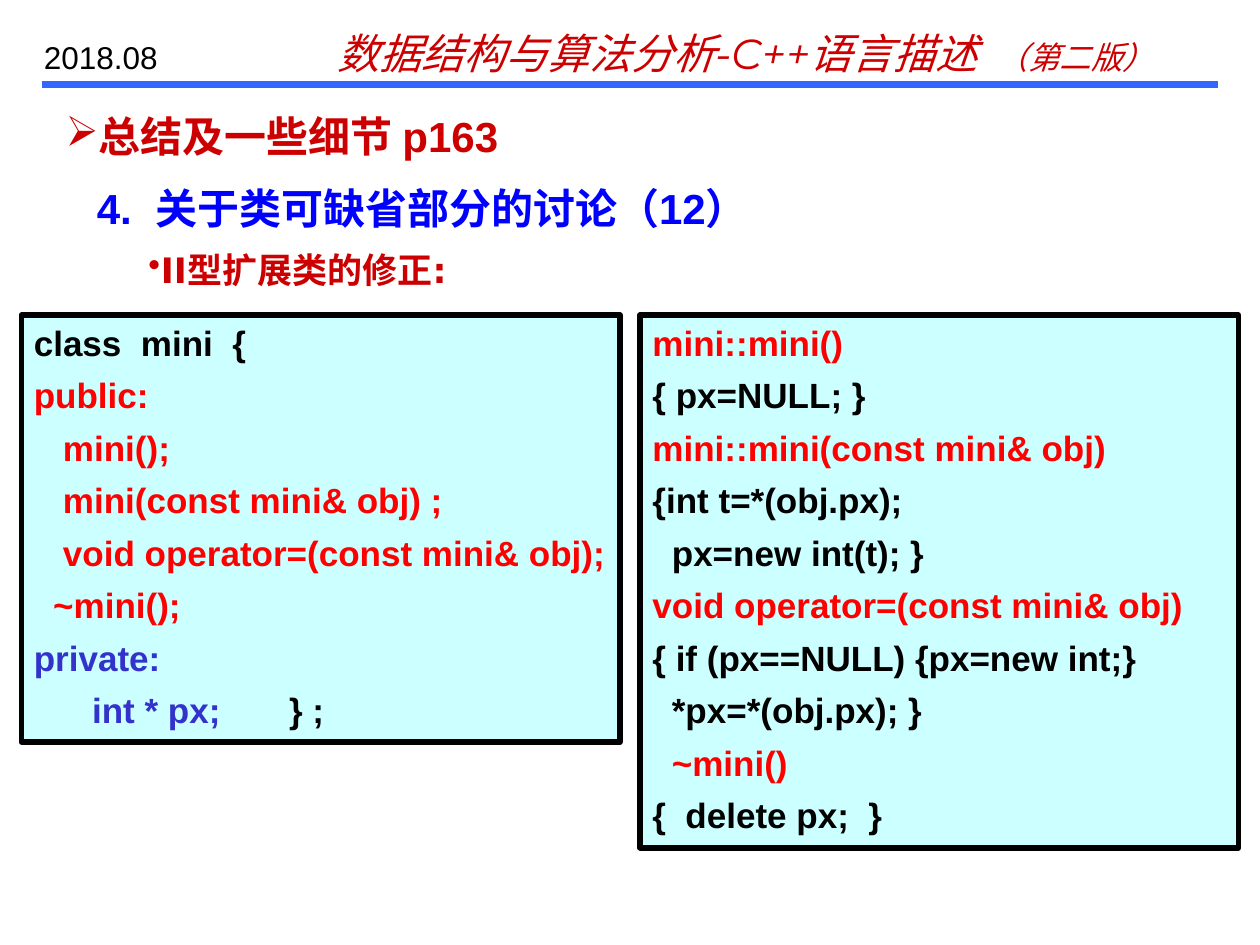
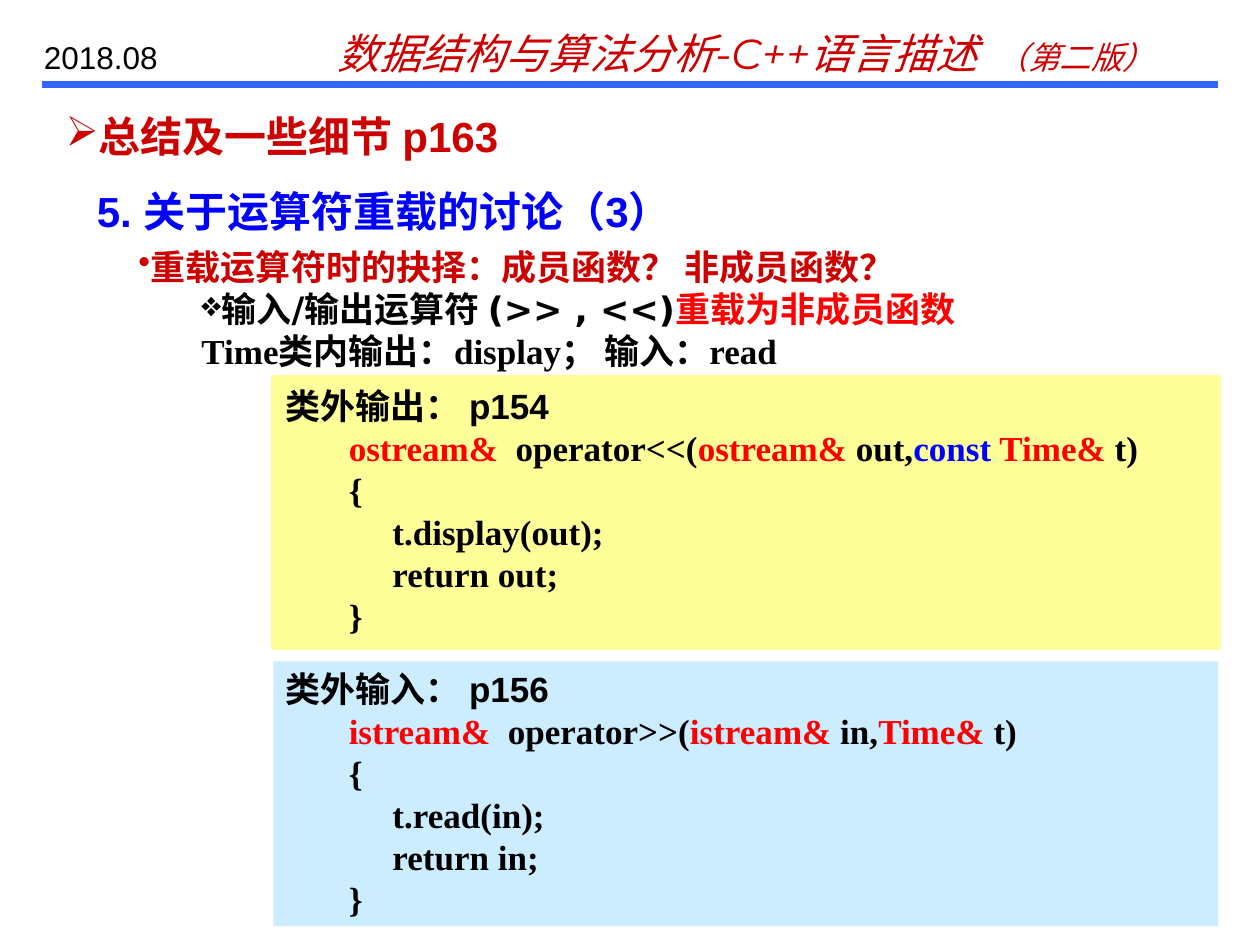
"""Build two lecture slides on class defaults and operator overloading in C++."""
from dataclasses import dataclass

from lxml import etree
from pptx import Presentation
from pptx.dml.color import RGBColor
from pptx.enum.shapes import MSO_CONNECTOR, MSO_SHAPE
from pptx.enum.text import MSO_ANCHOR, MSO_AUTO_SIZE, PP_ALIGN
from pptx.oxml.ns import qn
from pptx.util import Inches, Pt

STRAIGHT = MSO_CONNECTOR.STRAIGHT
RECTANGLE = MSO_SHAPE.RECTANGLE
TOP, MIDDLE = MSO_ANCHOR.TOP, MSO_ANCHOR.MIDDLE
NO_FIT = MSO_AUTO_SIZE.NONE
LEFT = PP_ALIGN.LEFT
TITLE_ONLY = 5


@dataclass(frozen=True)
class Theme:
    """Colours, fonts and type sizes of the deck."""
    crimson: str = "CC0000"
    red: str = "FF0000"
    blue: str = "0000FF"
    indigo: str = "3333CC"
    black: str = "000000"
    rule: str = "3366FF"
    cyan: str = "CCFFFF"
    yellow: str = "FFFF99"
    sky: str = "CCECFF"
    sans: str = "Arial"
    wide: str = "DejaVu Sans"
    serif: str = "Times New Roman"
    course: str = "Montserrat"
    large: int = 24
    body: int = 20
    small: int = 18


THEME = Theme()


@dataclass
class Line:
    """One paragraph: its spans of (text, format) and its layout."""
    spans: list
    bullet: str = ""
    margin: float = 0
    indent: float = 0
    level: int = 0
    before: float = 0


def style(color, name=THEME.sans, size=THEME.body, bold=True, italic=False):
    """Return the format values of a span."""
    return {"color": color, "name": name, "size": Pt(size), "bold": bold, "italic": italic}


def set_bullet(para, char, color):
    """Give a paragraph a coloured bullet character."""
    props = para._p.get_or_add_pPr()
    tint = etree.SubElement(props, qn("a:buClr"))
    etree.SubElement(tint, qn("a:srgbClr"), val=color)
    etree.SubElement(props, qn("a:buChar"), char=char)


def write_lines(frame, lines, anchor=TOP):
    """Fill a text frame with formatted lines."""
    settings = {"word_wrap": True, "auto_size": NO_FIT, "vertical_anchor": anchor}
    for key, value in settings.items():
        setattr(frame, key, value)
    for index, line in enumerate(lines):
        para = frame.paragraphs[0] if index == 0 else frame.add_paragraph()
        para.alignment, para.level = LEFT, line.level
        if index and line.before:
            para.space_before = Pt(line.before)
        props = para._p.get_or_add_pPr()
        props.set("marL", str(Inches(line.margin)))
        props.set("indent", str(Inches(line.indent)))
        if line.bullet:
            set_bullet(para, line.bullet, line.spans[0][1]["color"])
        for text, values in line.spans:
            span = para.add_run()
            span.text = text
            for key, value in values.items():
                if key == "color":
                    span.font.color.rgb = RGBColor.from_string(value)
                else:
                    setattr(span.font, key, value)


def add_text(page, box, lines):
    """Place a text box holding the lines."""
    write_lines(page.shapes.add_textbox(*map(Inches, box)).text_frame, lines)


def add_panel(page, box, lines, fill, border=None):
    """Place a filled rectangle holding the lines."""
    panel = page.shapes.add_shape(RECTANGLE, *map(Inches, box))
    panel.shadow.inherit = False
    panel.fill.solid()
    panel.fill.fore_color.rgb = RGBColor.from_string(fill)
    if border:
        panel.line.color.rgb = RGBColor.from_string(border)
        panel.line.width = Pt(3)
    else:
        panel.line.fill.background()
    write_lines(panel.text_frame, lines)


def add_header(page, box):
    """Draw the course name, date and rule inside the header box."""
    left, top, width, height = box
    ends = (left, top + height, left + width, top + height)
    rule = page.shapes.add_connector(STRAIGHT, *map(Inches, ends))
    rule.line.color.rgb = RGBColor.from_string(THEME.rule)
    rule.line.width = Pt(4)
    etree.SubElement(rule._element.spPr, qn("a:effectLst"))
    course = [
        ("数据结构与算法分析-C++语言描述  ",
         style(THEME.crimson, THEME.course, THEME.large, False, True)),
        ("（第二版）", style(THEME.crimson, THEME.course, THEME.small, False, True)),
    ]
    add_text(page, (left + 2.25, top, 7, height), [Line(course)])
    date = [("2018.08", style(THEME.black, size=THEME.small, bold=False))]
    add_text(page, (left - 0.08, top + 0.08, 1.42, 0.4), [Line(date)])


def start_page(deck, topic, topic_top):
    """Add a page with the header, title and numbered topic."""
    page = deck.slides.add_slide(deck.slide_layouts[TITLE_ONLY])
    add_header(page, (0.33, 0.17, 9.34, 0.5))
    title = page.shapes.title
    for key, value in zip(("left", "top", "width", "height"), (0.42, 0.83, 9.33, 0.5)):
        setattr(title, key, Inches(value))
    heading = style(THEME.crimson, size=THEME.large)
    write_lines(title.text_frame, [Line([("总结及一些细节 p163", heading)], "➢")], MIDDLE)
    numbered = Line([(topic, style(THEME.blue, size=THEME.large))], margin=0.38, indent=-0.38)
    add_text(page, (0.67, topic_top, 9.17, 0.5), [numbered])
    return page


def code_lines(rows):
    """Turn (text, colour) rows into spaced code lines."""
    return [Line([(text, style(color))], before=6) for text, color in rows]


def add_class_columns(page, box, gap):
    """Place the class declaration and its definitions side by side."""
    left, top, width, height = box
    column = (width - gap) / 2
    black, red, indigo = THEME.black, THEME.red, THEME.indigo
    declaration = code_lines([
        ("class  mini  {", black),
        ("public:", red),
        ("   mini();", red),
        ("   mini(const mini& obj) ;", red),
        ("   void operator=(const mini& obj);", red),
        ("  ~mini();", red),
        ("private:", indigo),
        ("      int * px;       ", indigo),
    ])
    declaration[-1].spans.append(("} ;", style(black)))
    definitions = code_lines([
        ("mini::mini()", red),
        ("{ px=NULL; }", black),
        ("mini::mini(const mini& obj)", red),
        ("{int t=*(obj.px);", black),
        ("  px=new int(t); }", black),
        ("void operator=(const mini& obj)", red),
        ("{ if (px==NULL) {px=new int;}", black),
        ("  *px=*(obj.px); }", black),
        ("  ~mini()", red),
        ("{  delete px;  }", black),
    ])
    add_panel(page, (left, top, column, height - 0.84), declaration, THEME.cyan, black)
    add_panel(page, (left + column + gap, top, column, height), definitions, THEME.cyan, black)


def operator_lines(label, number, signature, call, result):
    """Return a labelled operator function with a coloured signature."""
    code = style(THEME.black, THEME.serif)
    head = Line([(label, style(THEME.black, THEME.wide)), (number, style(THEME.black))])
    spans = [(text, style(color, THEME.serif)) for text, color in signature]
    body = [[(text, code)] for text in ("{", f"     {call};", f"     return {result};", "}")]
    return [head] + [Line(row, margin=0.5, level=1) for row in [spans] + body]


def build_class_page(deck):
    """Build the page on the corrected class."""
    page = start_page(deck, "4.  关于类可缺省部分的讨论（12）", 1.4)
    point = [("II型扩展类的修正:", style(THEME.crimson, THEME.wide))]
    add_text(page, (1.08, 1.92, 7.42, 0.43), [Line(point, "•")])
    add_class_columns(page, (0.17, 2.5, 9.66, 4.23), 0.16)


def build_operator_page(deck):
    """Build the page on input and output operators."""
    page = start_page(deck, "5. 关于运算符重载的讨论（3）", 1.42)
    black, red, blue = THEME.black, THEME.red, THEME.blue
    question = [("重载运算符时的抉择：成员函数？ 非成员函数？", style(THEME.crimson, THEME.wide))]
    answer = [("输入/输出运算符 (>> , <<)", style(black, THEME.wide)),
              ("重载为非成员函数", style(red))]
    members = [("Time类内输出：display； 输入：read", style(black, THEME.serif))]
    add_text(page, (1, 1.9, 8.58, 1.1), [
        Line(question, "•"),
        Line(answer, "❖", margin=0.5, level=1),
        Line(members, margin=0.5, level=1),
    ])
    output = operator_lines("类外输出： ", "p154", [
        ("ostream&", red), ("  operator<<(", black), ("ostream&", red), (" out,", black),
        ("const", blue), (" Time&", red), (" t)", black),
    ], "t.display(out)", "out")
    source = operator_lines("类外输入： ", "p156", [
        ("istream&", red), ("  operator>>(", black), ("istream&", red), (" in,", black),
        ("Time&", red), (" t)", black),
    ], "t.read(in)", "in")
    add_panel(page, (2.17, 3, 7.5, 2.14), output, THEME.yellow, THEME.yellow)
    add_panel(page, (2.17, 5.25, 7.5, 2.1), source, THEME.sky)


def main():
    """Create and save the deck."""
    deck = Presentation()
    deck.slide_width, deck.slide_height = Inches(10), Inches(7.5)
    build_class_page(deck)
    build_operator_page(deck)
    deck.save("out.pptx")


if __name__ == "__main__":
    main()
